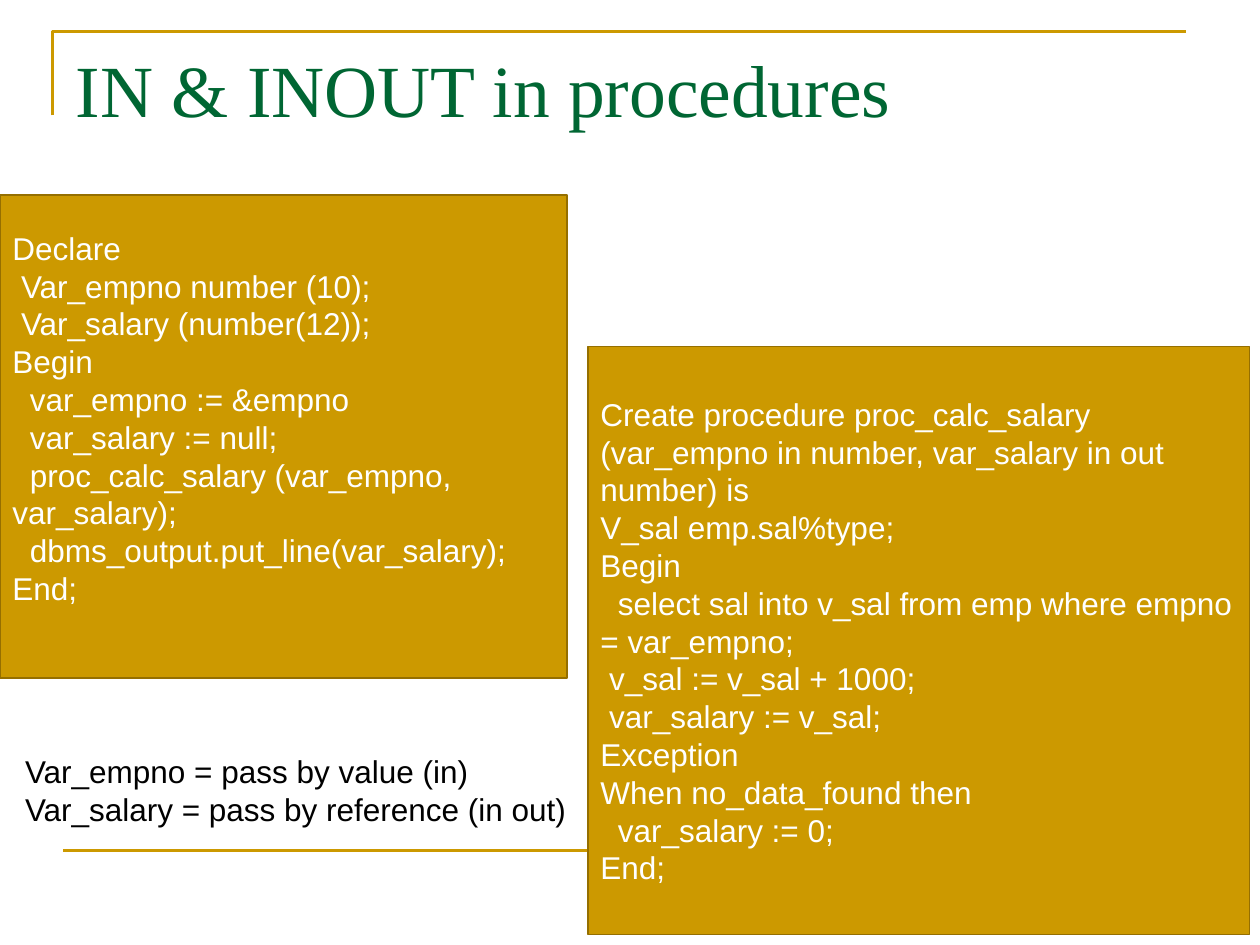
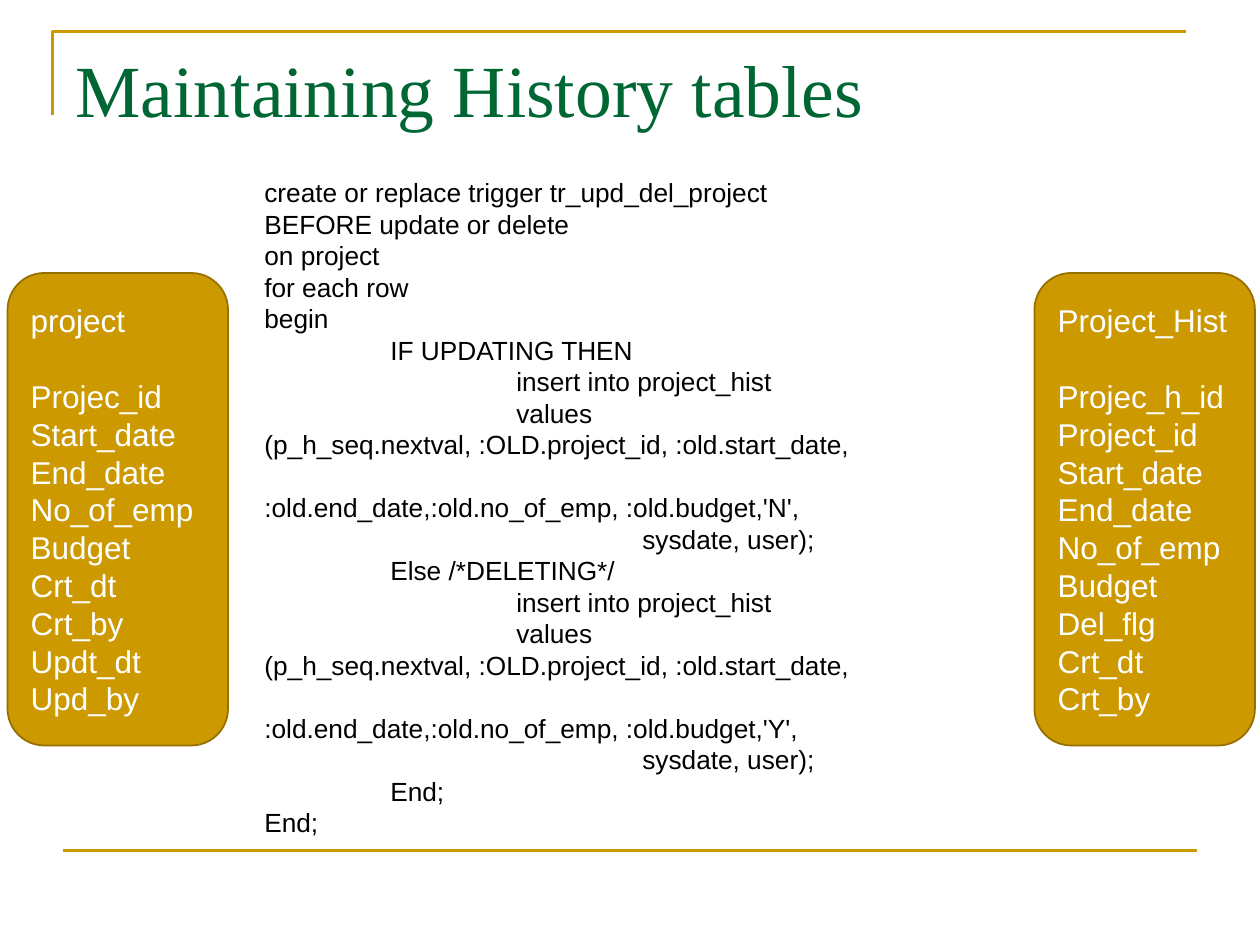
"""Builds two database slides: procedure parameter modes and history tables."""
from dataclasses import dataclass

from lxml import etree
from pptx import Presentation, util as u
from pptx.dml.color import RGBColor
from pptx.enum import shapes, text
from pptx.oxml.ns import qn

CALLER_CODE = """Declare
 Var_empno number (10);
 Var_salary (number(12));
Begin
  var_empno := &empno
  var_salary := null;
  proc_calc_salary (var_empno, var_salary);
  dbms_output.put_line(var_salary);
End;"""

PROCEDURE_CODE = """Create procedure proc_calc_salary (var_empno in number, var_salary in out number) is
V_sal emp.sal%type;
Begin
  select sal into v_sal from emp where empno = var_empno;
 v_sal := v_sal + 1000;
 var_salary := v_sal;
Exception
When no_data_found then
  var_salary := 0;
End;"""

PASSING_NOTE = """Var_empno = pass by value (in)
Var_salary = pass by reference (in out)"""

INSERT_CODE = """\t\tinsert into project_hist
\t\tvalues (p_h_seq.nextval, :OLD.project_id, :old.start_date,
\t\t\t:old.end_date,:old.no_of_emp, :old.budget,'{flag}',
\t\t\tsysdate, user);"""

TRIGGER_CODE = f"""create or replace trigger tr_upd_del_project
BEFORE update or delete
on project
for each row
begin
\tIF UPDATING THEN
{INSERT_CODE.format(flag="N")}
\tElse /*DELETING*/
{INSERT_CODE.format(flag="Y")}
\tEnd;
End;"""

TABLES = {
    "project": ["Projec_id", "Start_date", "End_date", "No_of_emp", "Budget",
                "Crt_dt", "Crt_by", "Updt_dt", "Upd_by"],
    "Project_Hist": ["Projec_h_id", "Project_id", "Start_date", "End_date", "No_of_emp",
                     "Budget", "Del_flg", "Crt_dt", "Crt_by"],
}


@dataclass(frozen=True)
class Theme:
    """Colours, fonts and type sizes shared by the slides."""
    gold: RGBColor = RGBColor.from_string("CC9900")
    edge: RGBColor = RGBColor.from_string("956F00")
    green: RGBColor = RGBColor.from_string("006633")
    white: RGBColor = RGBColor.from_string("FFFFFF")
    black: RGBColor = RGBColor.from_string("000000")
    title_font: str = "Times New Roman"
    body_font: str = "Arial"
    title_size: int = 42
    body_size: int = 18
    code_size: int = 15
    rule: float = 1.5
    outline: float = 1


THEME = Theme()
WIDTH, HEIGHT = 10, 7.5
UNIT = WIDTH / 120
BODY_LINE = THEME.body_size * 1.2
TAB_STOPS = range(8)
TABLE_WIDTH, TABLE_HEIGHT, TABLE_TOP = 21 * UNIT, 45 * UNIT, 26 * UNIT
TABLE_LEFTS = (0.06, WIDTH - TABLE_WIDTH - 0.04)


def inches(*lengths):
    """Convert lengths in inches to slide units."""
    return [u.Inches(length) for length in lengths]


def set_tabs(para):
    """Give a paragraph left tab stops one inch apart."""
    stops = etree.SubElement(para._p.get_or_add_pPr(), qn("a:tabLst"))
    for stop in TAB_STOPS:
        etree.SubElement(stops, qn("a:tab"), pos=str(u.Inches(stop)), algn="l")


def set_text(box, content, size, colour, font=THEME.body_font):
    """Fill a box with left-aligned text in one style."""
    box.text_frame.text = content
    for para in box.text_frame.paragraphs:
        set_tabs(para)
        para.alignment = text.PP_ALIGN.LEFT
        for span in para.runs:
            span.font.name = font
            span.font.size = u.Pt(size)
            span.font.color.rgb = colour


def set_line(shape, colour, weight):
    """Give a shape or connector a solid line."""
    shape.line.color.rgb = colour
    shape.line.width = u.Pt(weight)


def add_frame(page):
    """Draw the corner bracket and the bottom rule."""
    left, top, length, drop = inches(5 * UNIT, 3 * UNIT, 108 * UNIT, 8 * UNIT)
    builder = page.shapes.build_freeform(left, top + drop)
    builder.add_line_segments([(left, top), (left + length, top)], close=False)
    bracket = builder.convert_to_shape()
    bracket.fill.background()
    bracket.shadow.inherit = False
    margin = WIDTH * 0.05
    level = HEIGHT * 0.9
    rule = page.shapes.add_connector(
        shapes.MSO_CONNECTOR.STRAIGHT, *inches(margin, level, WIDTH - margin, level))
    etree.SubElement(rule._element.spPr, qn("a:effectLst"))
    for line in (bracket, rule):
        set_line(line, THEME.gold, THEME.rule)


def add_page(deck, heading):
    """Add a framed slide with its title."""
    page = deck.slides.add_slide(deck.slide_layouts[5])
    add_frame(page)
    title = page.shapes.title
    title.left, title.top, title.width, title.height = inches(0.5, 0.3, 9, 1.25)
    set_text(title, heading, THEME.title_size, THEME.green, THEME.title_font)
    frame = title.text_frame
    frame.auto_size = text.MSO_AUTO_SIZE.NONE
    frame.vertical_anchor = text.MSO_ANCHOR.TOP
    frame.margin_top = u.Inches(0.05)
    return page


def add_panel(page, kind, place, content):
    """Add a gold panel with white text."""
    panel = page.shapes.add_shape(kind, *inches(*place))
    panel.shadow.inherit = False
    panel.fill.solid()
    panel.fill.fore_color.rgb = THEME.gold
    set_line(panel, THEME.edge, THEME.outline)
    set_text(panel, content, THEME.body_size, THEME.white)
    panel.text_frame.word_wrap = True
    panel.text_frame.vertical_anchor = text.MSO_ANCHOR.MIDDLE
    return panel


def add_note(page, place, content, size, wrap):
    """Add plain black text."""
    note = page.shapes.add_textbox(*inches(*place))
    set_text(note, content, size, THEME.black)
    note.text_frame.word_wrap = wrap


def build_procedures(deck):
    """Show the calling block beside the procedure."""
    page = add_page(deck, "IN & INOUT in procedures")
    rectangle = shapes.MSO_SHAPE.RECTANGLE
    caller = add_panel(page, rectangle, (0, 1.55, 54 * UNIT, 46 * UNIT), CALLER_CODE)
    caller.text_frame.margin_bottom += u.Pt(BODY_LINE)
    add_panel(page, rectangle, (56 * UNIT, 33 * UNIT, 63 * UNIT, 56 * UNIT), PROCEDURE_CODE)
    add_note(page, (0.1, 5.92, 4.51, 0.7), PASSING_NOTE, THEME.body_size, False)


def build_history(deck):
    """Show the trigger between the live table and its history."""
    page = add_page(deck, "Maintaining History tables")
    for left, (name, columns) in zip(TABLE_LEFTS, TABLES.items()):
        place = (left, TABLE_TOP, TABLE_WIDTH, TABLE_HEIGHT)
        table = add_panel(page, shapes.MSO_SHAPE.ROUNDED_RECTANGLE, place,
                          "\n".join([name, *columns]))
        table.text_frame.paragraphs[1].space_before = u.Pt(BODY_LINE)
    add_note(page, (2, 1.35, 6.13, 5.35), TRIGGER_CODE, THEME.code_size, True)


def main():
    """Build and save the deck."""
    deck = Presentation()
    deck.slide_width, deck.slide_height = inches(WIDTH, HEIGHT)
    build_procedures(deck)
    build_history(deck)
    deck.save("out.pptx")


if __name__ == "__main__":
    main()
